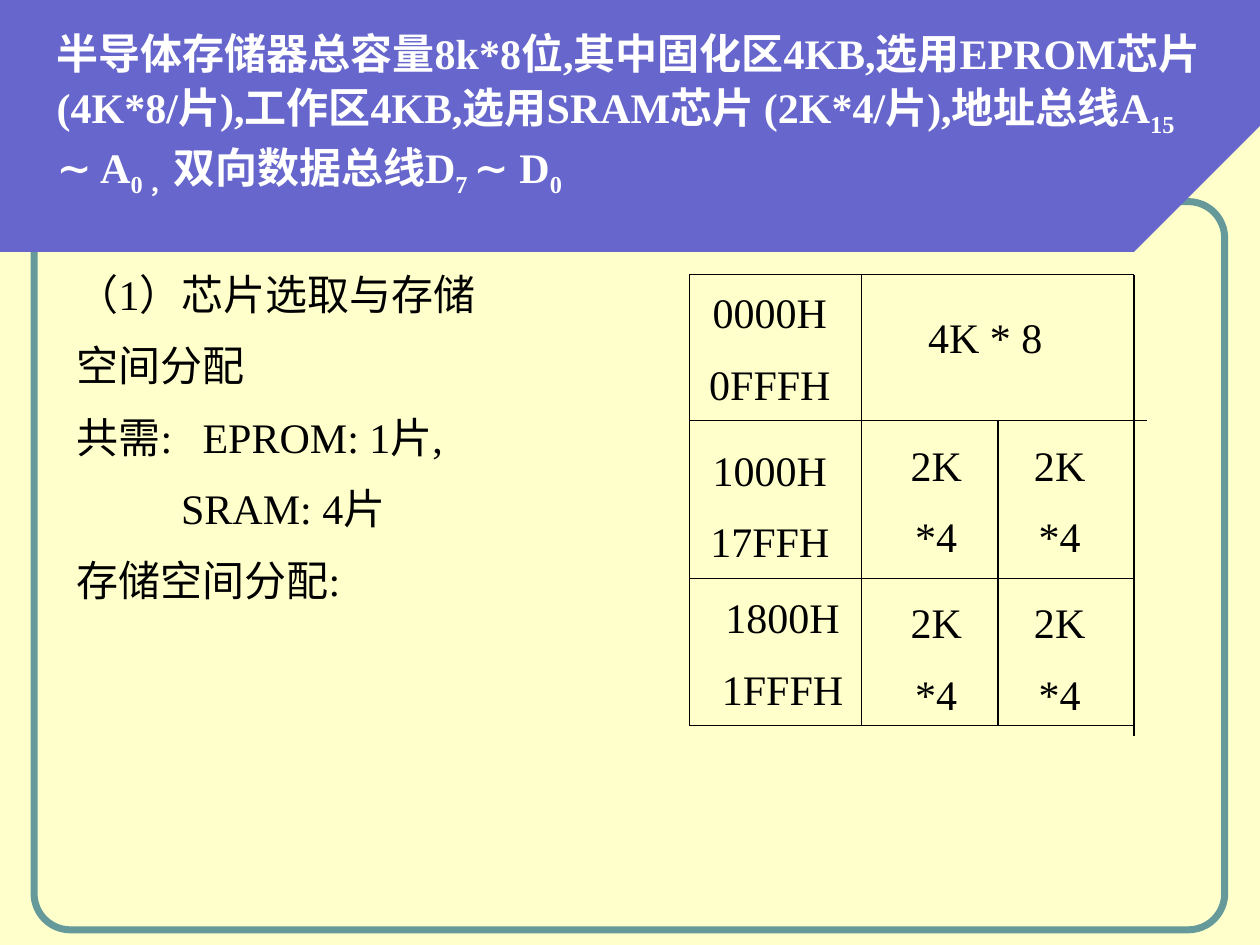
import math
from dataclasses import dataclass

from lxml import etree
from pptx import Presentation
from pptx import util as u
from pptx.dml.color import RGBColor
from pptx.enum import shapes, text
from pptx.oxml.ns import qn


@dataclass(frozen=True)
class Theme:
    background: RGBColor = RGBColor.from_string("FFFFCC")
    band: RGBColor = RGBColor.from_string("6666CC")
    frame: RGBColor = RGBColor.from_string("669999")
    ink: RGBColor = RGBColor.from_string("000000")
    title: RGBColor = RGBColor.from_string("FFFFFF")
    font: str = "Times New Roman"
    size: u.Pt = u.Pt(24)
    gap: u.Pt = u.Pt(12)


@dataclass(frozen=True)
class Box:
    left: float
    top: float
    width: float
    height: float

    def lengths(self) -> list:
        return [u.Inches(v) for v in (self.left, self.top, self.width, self.height)]


@dataclass(frozen=True)
class Rule:
    x1: float
    y1: float
    x2: float
    y2: float


@dataclass(frozen=True)
class Cell:
    box: Box
    lines: tuple


THEME = Theme()

TITLE_RUNS = (
    ("半导体存储器总容量8k*8位,其中固化区4KB,选用EPROM芯片 (4K*8/片),"
     "工作区4KB,选用SRAM芯片 (2K*4/片),地址总线A", False),
    ("15 ", True), ("∼ A", False), ("0 ，", True),
    ("双向数据总线D", False), ("7 ", True), ("∼ D", False), ("0", True),
)
BODY_LINES = ("（1）芯片选取与存储", "空间分配", "共需:\tEPROM: 1片,",
              "SRAM: 4片", "存储空间分配:")

LEFT, ADDRESS_END, MIDDLE, RIGHT = 5.47, 6.84, 7.92, 9.0
TOP, EPROM_END, SRAM_MIDDLE, BOTTOM = 2.18, 3.34, 4.59, 5.76
OVERHANG = 0.1

RULES = (
    Rule(LEFT, TOP, RIGHT, TOP),
    Rule(LEFT, EPROM_END, RIGHT + OVERHANG, EPROM_END),
    Rule(LEFT, SRAM_MIDDLE, RIGHT, SRAM_MIDDLE),
    Rule(LEFT, BOTTOM, RIGHT, BOTTOM),
    Rule(LEFT, TOP, LEFT, BOTTOM),
    Rule(ADDRESS_END, TOP, ADDRESS_END, BOTTOM),
    Rule(MIDDLE, EPROM_END, MIDDLE, BOTTOM),
    Rule(RIGHT, TOP, RIGHT, BOTTOM + 0.08),
)
CELLS = (
    Cell(Box(5.57, 2.26, 1.08, 1), ("0000H", "0FFFH")),
    Cell(Box(5.57, 3.51, 1.08, 1), ("1000H", "17FFH")),
    Cell(Box(5.67, 4.68, 1.08, 1), ("1800H", "1FFFH")),
    Cell(Box(6.94, 2.34, 1.76, 0.67), ("4K * 8",)),
    *(Cell(Box(left, top, 0.78, 0.92), ("2K", "*4"))
      for top in (3.51, 4.76) for left in (7.04, 8.02)),
)


def apply(target, **values) -> None:
    for name, value in values.items():
        setattr(target, name, value)


def format_font(font, color: RGBColor, bold: bool = False) -> None:
    apply(font, name=THEME.font, size=THEME.size, bold=bold)
    font.color.rgb = color


def write_lines(frame, lines: tuple, alignment, wrap: bool) -> None:
    apply(frame, word_wrap=wrap, auto_size=text.MSO_AUTO_SIZE.NONE,
          vertical_anchor=text.MSO_ANCHOR.MIDDLE)
    for index, line in enumerate(lines):
        paragraph = frame.paragraphs[0] if index == 0 else frame.add_paragraph()
        apply(paragraph, alignment=alignment, space_before=THEME.gap if index else u.Pt(0))
        run = paragraph.add_run()
        run.text = line
        format_font(run.font, THEME.ink)


def draw_band(slide):
    """Draw the title band, whose right end is a half circle."""
    radius, end = 0.775, 10 - 0.775
    angles = [math.radians(degree) for degree in range(-90, 91, 3)]
    arc = [(end + radius * math.cos(a), radius + radius * math.sin(a)) for a in angles]
    builder = slide.shapes.build_freeform(0, 0, scale=u.Inches(1))
    builder.add_line_segments([*arc, (0, 2 * radius)], close=True)
    band = builder.convert_to_shape()
    band.shadow.inherit = False
    band.fill.solid()
    band.fill.fore_color.rgb = THEME.band
    band.line.fill.background()
    return band


def draw_frame(slide):
    frame = slide.shapes.add_shape(shapes.MSO_SHAPE.ROUNDED_RECTANGLE,
                                   *Box(0.27, 1.6, 9.45, 5.78).lengths())
    frame.adjustments[0] = 0.05
    frame.shadow.inherit = False
    frame.fill.background()
    frame.line.color.rgb = THEME.frame
    frame.line.width = u.Pt(4)
    return frame


def fill_title(title) -> None:
    title.left, title.top, title.width, title.height = Box(0.35, 0.21, 9.37, 1.36).lengths()
    apply(title.text_frame, word_wrap=True, auto_size=text.MSO_AUTO_SIZE.NONE,
          vertical_anchor=text.MSO_ANCHOR.MIDDLE)
    paragraph = title.text_frame.paragraphs[0]
    apply(paragraph, alignment=text.PP_ALIGN.LEFT, line_spacing=1.05, space_before=u.Pt(0))
    for content, subscript in TITLE_RUNS:
        run = paragraph.add_run()
        run.text = content
        format_font(run.font, THEME.title, bold=True)
        if subscript:
            run.font._element.set("baseline", "-25000")


def draw_body(slide) -> None:
    body = slide.shapes.add_textbox(*Box(0.51, 2, 4.17, 2.93).lengths())
    write_lines(body.text_frame, BODY_LINES, text.PP_ALIGN.LEFT, wrap=True)
    eprom, sram = body.text_frame.paragraphs[2:4]
    tabs = etree.SubElement(eprom._p.get_or_add_pPr(), qn("a:tabLst"))
    etree.SubElement(tabs, qn("a:tab"), pos=str(u.Inches(1)), algn="l")
    sram._p.get_or_add_pPr().set("marL", str(u.Inches(0.83)))


def draw_rule(slide, rule: Rule) -> None:
    ends = [u.Inches(v) for v in (rule.x1, rule.y1, rule.x2, rule.y2)]
    line = slide.shapes.add_connector(shapes.MSO_CONNECTOR.STRAIGHT, *ends)
    line.line.color.rgb = THEME.ink
    line.line.width = u.Pt(0.75)
    etree.SubElement(line.element.spPr, qn("a:effectLst"))


def draw_cell(slide, cell: Cell) -> None:
    shape = slide.shapes.add_shape(shapes.MSO_SHAPE.FLOWCHART_PROCESS, *cell.box.lengths())
    shape.shadow.inherit = False
    shape.fill.background()
    shape.line.fill.background()
    write_lines(shape.text_frame, cell.lines, text.PP_ALIGN.CENTER, wrap=False)


def main() -> None:
    presentation = Presentation()
    apply(presentation, slide_width=u.Inches(10), slide_height=u.Inches(7.5))
    slide = presentation.slides.add_slide(presentation.slide_layouts[5])
    slide.background.fill.solid()
    slide.background.fill.fore_color.rgb = THEME.background
    title = slide.shapes.title
    for backdrop in (draw_frame(slide), draw_band(slide)):
        title.element.addprevious(backdrop.element)
    fill_title(title)
    draw_body(slide)
    for rule in RULES:
        draw_rule(slide, rule)
    for cell in CELLS:
        draw_cell(slide, cell)
    presentation.save("out.pptx")


if __name__ == "__main__":
    main()
